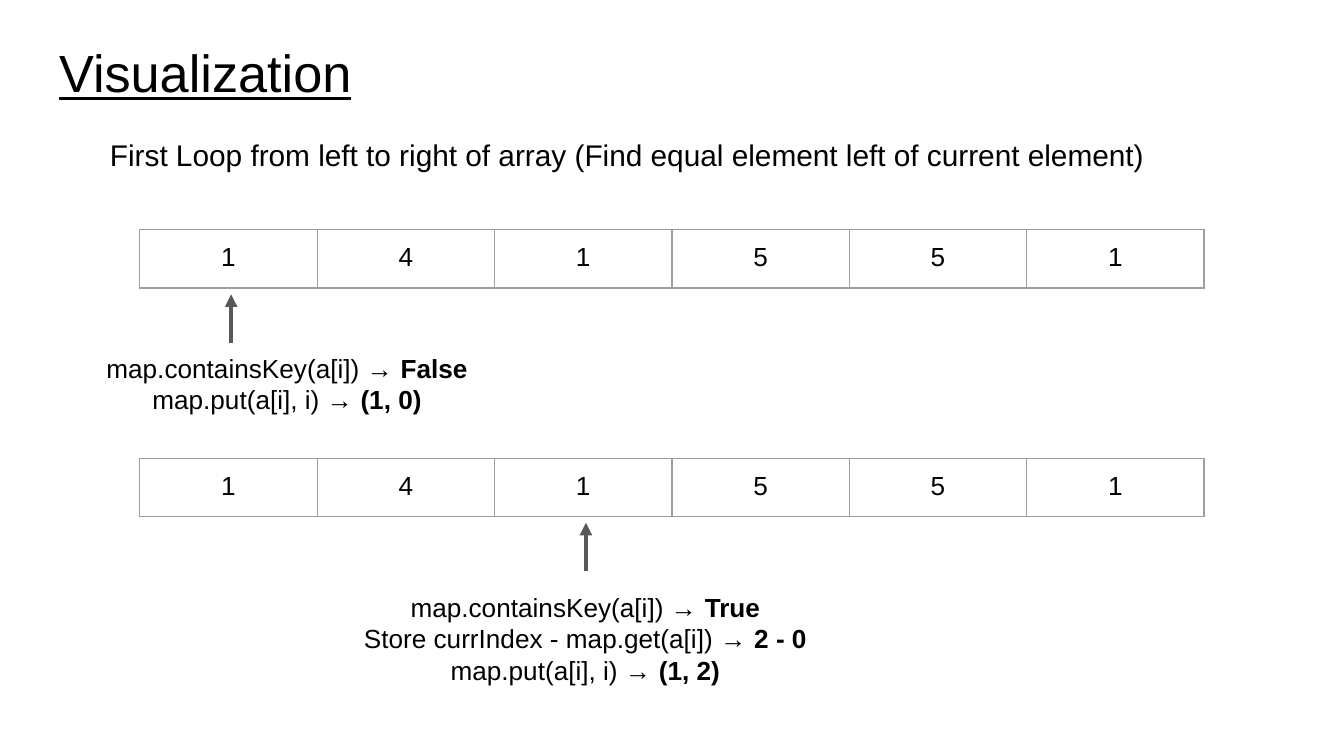
"""Build the slide that walks through the first loop over an array."""
from lxml import etree
from pptx import Presentation, util as u
from pptx.dml.color import RGBColor
from pptx.enum import shapes, text
from pptx.oxml import ns

TITLE = "Visualization"
LEAD = "First Loop from left to right of array (Find equal element left of current element)"
ARRAY = [1, 4, 1, 5, 5, 1]
STEPS = [
    {"index": 0, "top": 1.71, "note": (0.59, 2.52, 3.09, 0.56),
     "lines": [("map.containsKey(a[i])", "False"),
               ("map.put(a[i], i)", "(1, 0)")]},
    {"index": 2, "top": 3.41, "note": (2.44, 4.3, 3.83, 0.87),
     "lines": [("map.containsKey(a[i])", "True"),
               ("Store currIndex - map.get(a[i])", "2 - 0"),
               ("map.put(a[i], i)", "(1, 2)")]},
]
THEME = {"font": "Arial", "ink": "000000", "arrow": "595959", "grid": "9E9E9E",
         "title": 28, "lead": 16, "body": 14, "stroke": 2.25, "rule": 0.75}
WIDE = 10
TALL = WIDE * 9 / 16
LEFT, CELL, HIGH = 1.04, 1.32, 0.42
GAP, REACH, SHIFT = 0.48, 0.36, 0.02
CENTER = text.PP_ALIGN.CENTER


def style(par, size, align=text.PP_ALIGN.LEFT):
    par.alignment = align
    par.font.name = THEME["font"]
    par.font.size = u.Pt(THEME[size])
    par.font.color.rgb = RGBColor.from_string(THEME["ink"])


def inset(item):
    item.margin_left = item.margin_right = u.Inches(0.1)
    item.margin_top = item.margin_bottom = u.Inches(0.1)


def add_box(slide, place):
    frame = slide.shapes.add_textbox(*map(u.Inches, place)).text_frame
    frame.word_wrap = True
    inset(frame)
    return frame


def add_title(slide):
    title = slide.shapes.title
    title.left, title.top, title.width, title.height = map(u.Inches, (0.34, 0.2, 9.32, 0.63))
    frame = title.text_frame
    frame.text = TITLE
    frame.auto_size = text.MSO_AUTO_SIZE.NONE
    frame.vertical_anchor = text.MSO_ANCHOR.TOP
    inset(frame)
    style(frame.paragraphs[0], "title")
    frame.paragraphs[0].font.underline = True


def set_border(cell):
    props = cell._tc.get_or_add_tcPr()
    for spot, side in enumerate(("lnL", "lnR", "lnT", "lnB")):
        edge = etree.Element(ns.qn(f"a:{side}"), w=str(u.Pt(THEME["rule"])))
        fill = etree.SubElement(edge, ns.qn("a:solidFill"))
        etree.SubElement(fill, ns.qn("a:srgbClr"), val=THEME["grid"])
        props.insert(spot, edge)


def add_array(slide, top):
    count = len(ARRAY)
    table = slide.shapes.add_table(
        1, count, u.Inches(LEFT), u.Inches(top),
        u.Inches(CELL * count), u.Inches(HIGH)).table
    table.first_row = table.horz_banding = False
    for col, value in enumerate(ARRAY):
        table.columns[col].width = u.Inches(CELL)
        cell = table.cell(0, col)
        cell.text = str(value)
        cell.fill.background()
        inset(cell)
        par = cell.text_frame.paragraphs[0]
        style(par, "body", CENTER)
        par.runs[0].font.name = THEME["font"]
        set_border(cell)


def add_arrow(slide, index, top):
    x = u.Inches(LEFT + CELL * (index + 0.5) + SHIFT)
    tip = top + GAP
    arrow = slide.shapes.add_connector(
        shapes.MSO_CONNECTOR.STRAIGHT, x, u.Inches(tip + REACH), x, u.Inches(tip))
    arrow.line.color.rgb = RGBColor.from_string(THEME["arrow"])
    arrow.line.width = u.Pt(THEME["stroke"])
    etree.SubElement(arrow.line._get_or_add_ln(), ns.qn("a:tailEnd"), type="triangle")
    etree.SubElement(arrow._element.spPr, ns.qn("a:effectLst"))


def add_note(slide, place, lines):
    frame = add_box(slide, place)
    for row, (call, result) in enumerate(lines):
        par = frame.add_paragraph() if row else frame.paragraphs[0]
        style(par, "body", CENTER)
        par.add_run().text = f"{call} → "
        run = par.add_run()
        run.text = result
        run.font.bold = True


def main():
    deck = Presentation()
    deck.slide_width, deck.slide_height = u.Inches(WIDE), u.Inches(TALL)
    slide = deck.slides.add_slide(deck.slide_layouts[5])
    add_title(slide)
    lead = add_box(slide, (0.72, 0.92, 8.37, 0.47))
    lead.text = LEAD
    style(lead.paragraphs[0], "lead")
    for step in STEPS:
        add_array(slide, step["top"])
        add_arrow(slide, step["index"], step["top"])
        add_note(slide, step["note"], step["lines"])
    deck.save("out.pptx")


if __name__ == "__main__":
    main()
